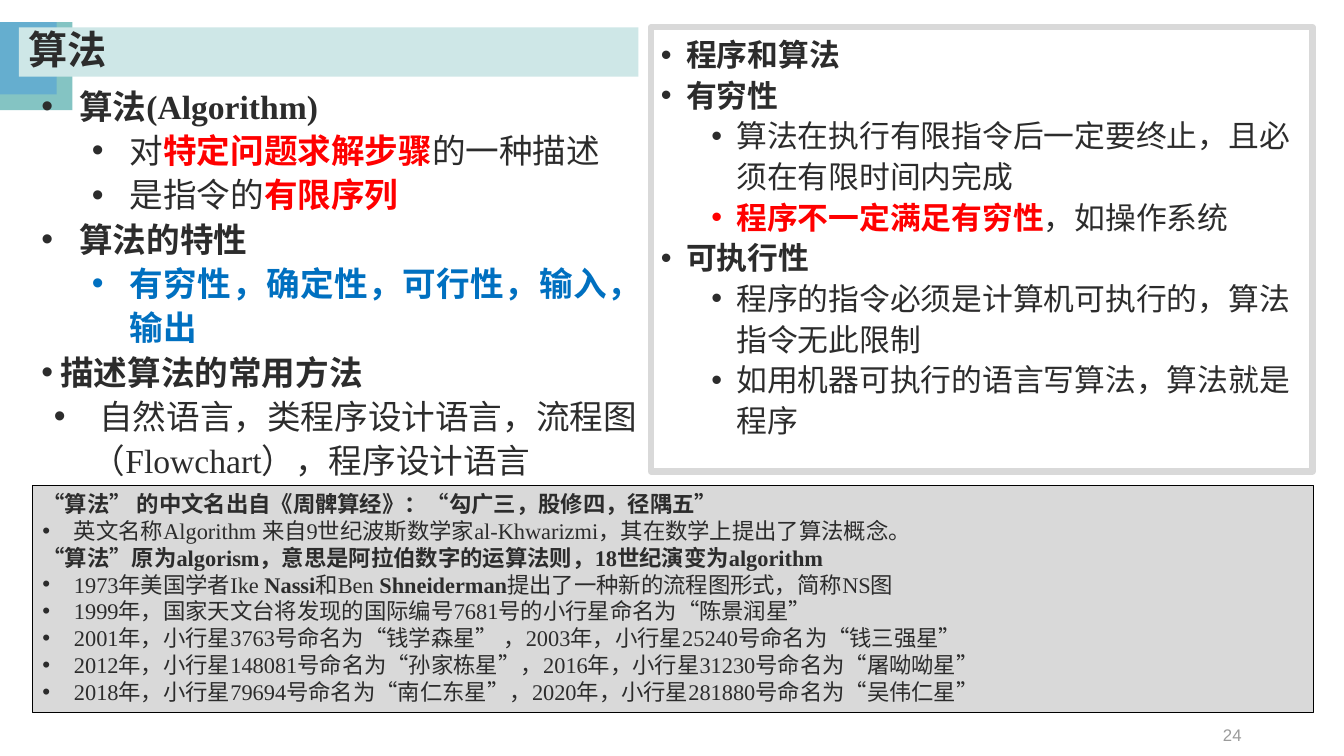
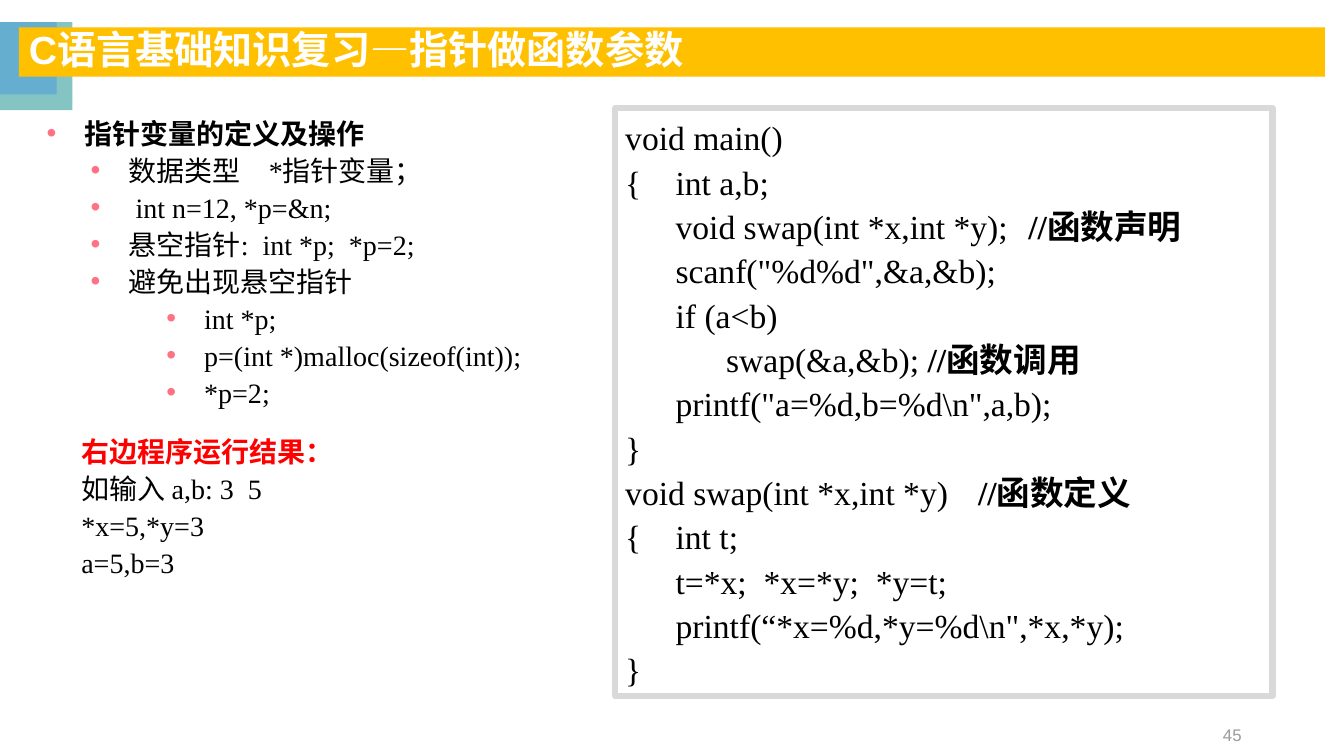
from dataclasses import dataclass
from typing import NamedTuple, Optional

from lxml import etree
from pptx import Presentation
from pptx.dml.color import RGBColor
from pptx.enum.shapes import MSO_SHAPE
from pptx.enum.text import MSO_ANCHOR, PP_ALIGN
from pptx.oxml.ns import qn
from pptx.util import Pt

EMU_PER_PX = 9525
RECT = MSO_SHAPE.RECTANGLE
TOP, MIDDLE = MSO_ANCHOR.TOP, MSO_ANCHOR.MIDDLE
LEFT, RIGHT, JUSTIFY = PP_ALIGN.LEFT, PP_ALIGN.RIGHT, PP_ALIGN.JUSTIFY

SANS, SERIF, CJK = "Arial", "Times New Roman", "Noto Sans CJK SC"

WHITE = RGBColor(0xFF, 0xFF, 0xFF)
BLACK = RGBColor(0x00, 0x00, 0x00)
INK = RGBColor(0x2C, 0x2C, 0x2C)
RED = RGBColor(0xFF, 0x00, 0x00)
BLUE = RGBColor(0x00, 0x70, 0xC0)
PINK = RGBColor(0xFF, 0x72, 0x84)
GREY = RGBColor(0xD9, 0xD9, 0xD9)
NUMBER_GREY = RGBColor(0x9B, 0x9B, 0x9B)
TEAL = RGBColor(0x84, 0xC4, 0xC3)
SKY = RGBColor(0x65, 0xAE, 0xCF)
MINT = RGBColor(0xCE, 0xE7, 0xE7)
AMBER = RGBColor(0xFF, 0xC0, 0x00)


class Area(NamedTuple):
    left: int
    top: int
    width: int
    height: int


class Indent(NamedTuple):
    """Left margin and bullet hang in px; no hang means no bullet."""
    left: int = 0
    hang: int = 0


@dataclass(frozen=True)
class Para:
    """A paragraph; text between ** marks is bold and takes the accent colour."""
    text: str
    indent: Indent = Indent()
    bold: bool = False
    color: Optional[RGBColor] = None
    accent: Optional[RGBColor] = None
    align: Optional[PP_ALIGN] = None


@dataclass(frozen=True)
class Box:
    area: Area
    paras: list[Para]
    size: int
    color: RGBColor
    font: str = SERIF
    spacing: float = 1.1
    align: PP_ALIGN = LEFT
    anchor: MSO_ANCHOR = TOP
    fill: Optional[RGBColor] = None
    line: Optional[RGBColor] = None
    line_width: float = 0.75
    bullet: Optional[RGBColor] = None
    tabs: tuple[int, ...] = ()


class Page(NamedTuple):
    title: str
    number: int
    title_width: int
    title_fill: RGBColor
    title_color: RGBColor
    boxes: list[Box]


CORNER = [(Area(0, 21, 69, 84), TEAL), (Area(0, 21, 54, 69), SKY)]

TOPIC, POINT = Indent(36, 36), Indent(84, 36)
TIGHT_TOPIC, METHODS = Indent(18, 18), Indent(48, 36)
CARD_TOPIC, CARD_POINT = Indent(24, 24), Indent(72, 24)
FACT = Indent(30, 30)
POINTER_TOPIC, POINTER_STEP = Indent(42, 36), Indent(156, 36)

ALGORITHM = [
    Para("算法(Algorithm)", TOPIC, bold=True),
    Para("对**特定问题求解步骤**的一种描述", POINT, accent=RED),
    Para("是指令的**有限序列**", POINT, accent=RED),
    Para("算法的特性", TOPIC, bold=True),
    Para("有穷性，确定性，可行性，输入，输出", POINT, bold=True, color=BLUE),
    Para("描述算法的常用方法", TIGHT_TOPIC, bold=True, align=LEFT),
    Para(" 自然语言，类程序设计语言，流程图（Flowchart），程序设计语言",
         METHODS, align=LEFT),
]

PROGRAM = [
    Para("程序和算法", CARD_TOPIC, bold=True),
    Para("有穷性", CARD_TOPIC, bold=True),
    Para("算法在执行有限指令后一定要终止，且必须在有限时间内完成", CARD_POINT),
    Para("**程序不一定满足有穷性**，如操作系统", CARD_POINT, accent=RED),
    Para("可执行性", CARD_TOPIC, bold=True),
    Para("程序的指令必须是计算机可执行的，算法指令无此限制", CARD_POINT),
    Para("如用机器可执行的语言写算法，算法就是程序", CARD_POINT),
]

HISTORY = [
    Para("“算法” 的中文名出自《周髀算经》：“勾广三，股修四，径隅五”", bold=True),
    Para("英文名称Algorithm 来自9世纪波斯数学家al-Khwarizmi，"
         "其在数学上提出了算法概念。", FACT),
    Para("“算法”原为algorism，意思是阿拉伯数字的运算法则，"
         "18世纪演变为algorithm", bold=True),
    Para("1973年美国学者Ike **Nassi**和Ben **Shneiderman**"
         "提出了一种新的流程图形式，简称NS图", FACT),
    Para("1999年，国家天文台将发现的国际编号7681号的小行星命名为“陈景润星”", FACT),
    Para("2001年，小行星3763号命名为“钱学森星” ，"
         "2003年，小行星25240号命名为“钱三强星”", FACT),
    Para("2012年，小行星148081号命名为“孙家栋星”，"
         "2016年，小行星31230号命名为“屠呦呦星”", FACT),
    Para("2018年，小行星79694号命名为“南仁东星”，"
         "2020年，小行星281880号命名为“吴伟仁星”", FACT),
]

CODE = [Para(line) for line in (
    "void main()",
    "{\tint a,b;",
    "\tvoid swap(int *x,int *y);\t**//函数声明**",
    "\tscanf(\"%d%d\",&a,&b);",
    "\tif (a<b)",
    "\t\tswap(&a,&b);\t**//函数调用**",
    "\tprintf(\"a=%d,b=%d\\n\",a,b);",
    "}",
    "void swap(int *x,int *y)\t**//函数定义**",
    "{\tint t;",
    "\tt=*x;  *x=*y;  *y=t;",
    "\tprintf(“*x=%d,*y=%d\\n\",*x,*y);",
    "}",
)]

RESULT = [
    Para("右边程序运行结果：", bold=True, color=RED),
    Para("如输入 a,b: 3  5"),
    Para("*x=5,*y=3"),
    Para("a=5,b=3"),
]

POINTERS = [
    Para("指针变量的定义及操作", POINTER_TOPIC, bold=True),
    Para("数据类型　*指针变量；", POINT),
    Para(" int n=12, *p=&n;", POINT),
    Para("悬空指针:  int *p;  *p=2;", POINT),
    Para("避免出现悬空指针", POINT),
    Para("int *p;", POINTER_STEP),
    Para("p=(int *)malloc(sizeof(int));", POINTER_STEP),
    Para("*p=2;", POINTER_STEP),
]

PAGES = [
    Page("算法", 24, 590, MINT, INK, [
        Box(Area(30, 73, 590, 390), ALGORITHM, 24, INK, align=JUSTIFY),
        Box(Area(620, 26, 630, 423), PROGRAM, 22, INK, line=GREY, line_width=4.5),
        Box(Area(31, 462, 1220, 217), HISTORY, 16, INK, spacing=1.0,
            fill=GREY, line=BLACK),
    ]),
    Page("C语言基础知识复习—指针做函数参数", 45, 1244, AMBER, WHITE, [
        Box(Area(586, 103, 626, 560), CODE, 24, BLACK, line=GREY,
            line_width=4.5, tabs=(40, 80, 388)),
        Box(Area(68, 406, 480, 150), RESULT, 20, BLACK, fill=WHITE),
        Box(Area(29, 103, 519, 292), POINTERS, 20, BLACK, bullet=PINK),
    ]),
]


def px(n: int) -> int:
    return n * EMU_PER_PX


def add_rect(s, area: Area, fill: Optional[RGBColor],
             line: Optional[RGBColor] = None, width: float = 0.75):
    sp = s.shapes.add_shape(RECT, *map(px, area))
    sp.shadow.inherit = False
    if fill is None:
        sp.fill.background()
    else:
        sp.fill.solid()
        sp.fill.fore_color.rgb = fill
    if line is None:
        sp.line.fill.background()
    else:
        sp.line.color.rgb = line
        sp.line.width = Pt(width)
    return sp


def set_paragraph_xml(p, para: Para, box: Box) -> None:
    """Add the East Asian font, indent, bullet and tab stops."""
    p_pr = p._p.get_or_add_pPr()
    defaults = p_pr.find(qn("a:defRPr"))
    etree.SubElement(defaults, qn("a:ea"), typeface=CJK)

    def add(tag: str, **attributes: str):
        element = etree.Element(qn(tag), **attributes)
        defaults.addprevious(element)
        return element

    p_pr.set("marL", str(px(para.indent.left)))
    p_pr.set("indent", str(-px(para.indent.hang)))
    if para.indent.hang:
        if box.bullet is not None:
            color = add("a:buClr")
            etree.SubElement(color, qn("a:srgbClr"), val=str(box.bullet))
        add("a:buFont", typeface=SANS)
        add("a:buChar", char="•")
    else:
        add("a:buNone")
    if box.tabs:
        stops = add("a:tabLst")
        for stop in box.tabs:
            etree.SubElement(stops, qn("a:tab"), pos=str(px(stop)), algn="l")


def write_paragraph(p, para: Para, box: Box) -> None:
    p.alignment = box.align if para.align is None else para.align
    p.line_spacing = box.spacing
    p.font.name = box.font
    p.font.size = Pt(box.size)
    p.font.bold = para.bold
    p.font.color.rgb = box.color if para.color is None else para.color
    set_paragraph_xml(p, para, box)
    for i, text in enumerate(para.text.split("**")):
        if not text:
            continue
        r = p.add_run()
        r.text = text
        if i % 2:
            r.font.bold = True
            if para.accent is not None:
                r.font.name = CJK
                r.font.color.rgb = para.accent


def add_box(s, box: Box) -> None:
    if box.fill is None and box.line is None:
        sp = s.shapes.add_textbox(*map(px, box.area))
    else:
        sp = add_rect(s, box.area, box.fill, box.line, box.line_width)
    tf = sp.text_frame
    tf.word_wrap = True
    tf.vertical_anchor = box.anchor
    for i, para in enumerate(box.paras):
        write_paragraph(tf.add_paragraph() if i else tf.paragraphs[0], para, box)


def add_page(prs, page: Page) -> None:
    s = prs.slides.add_slide(prs.slide_layouts[6])
    for area, color in CORNER:
        add_rect(s, area, color)
    add_box(s, Box(Area(18, 26, page.title_width, 47),
                   [Para(page.title, bold=True)], 28, page.title_color, SANS,
                   spacing=0.9, anchor=MIDDLE, fill=page.title_fill))
    add_box(s, Box(Area(904, 681, 288, 38), [Para(str(page.number))], 12,
                   NUMBER_GREY, SANS, spacing=1.0, align=RIGHT, anchor=MIDDLE))
    for box in page.boxes:
        add_box(s, box)


def main() -> None:
    prs = Presentation()
    prs.slide_width, prs.slide_height = px(1280), px(720)
    for page in PAGES:
        add_page(prs, page)
    prs.save("out.pptx")


if __name__ == "__main__":
    main()
